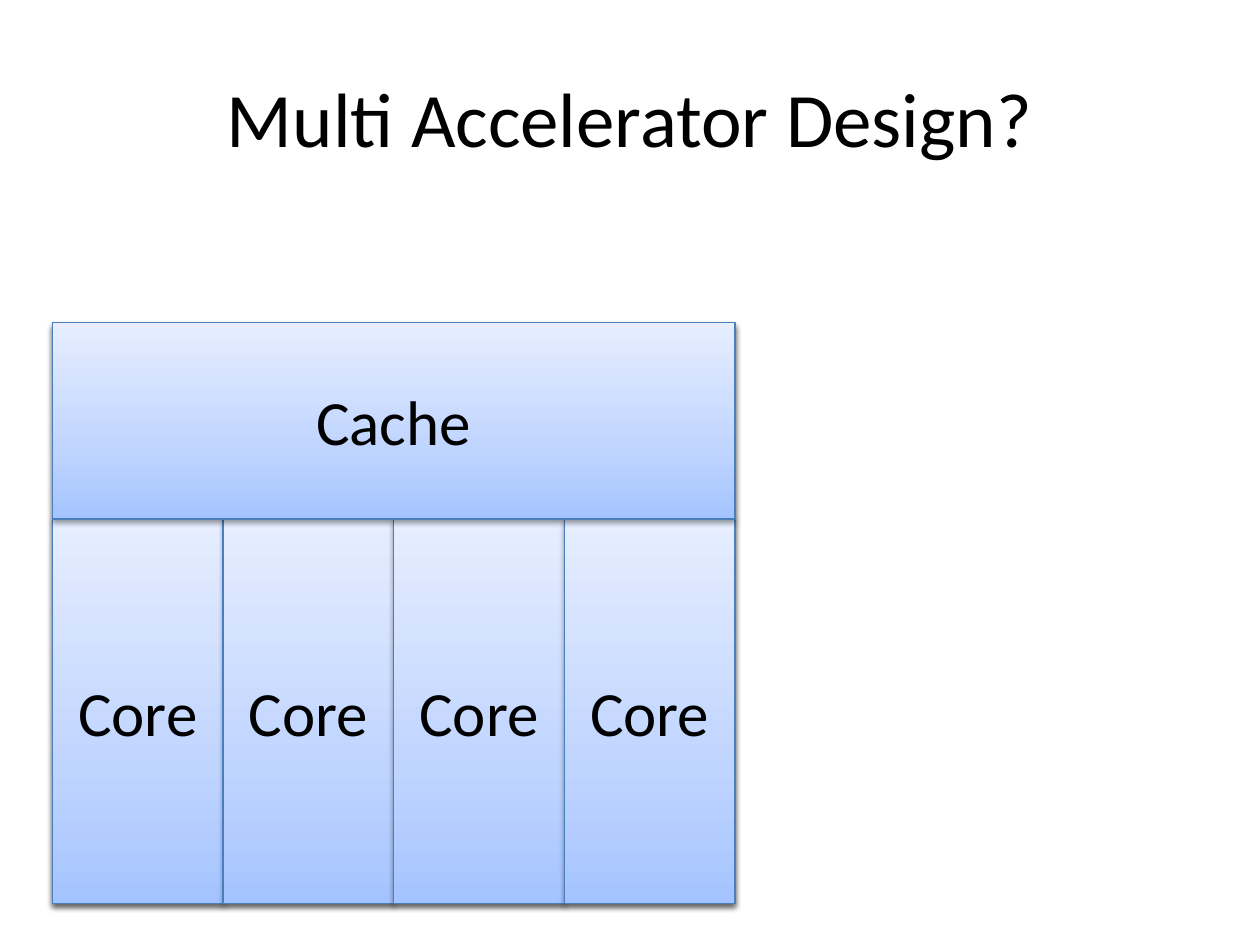
import pptx
import pptx.util
import pptx.dml.color
import pptx.enum.shapes
import pptx.enum.text
import pptx.oxml
import pptx.oxml.ns
import lxml.etree

Pt = pptx.util.Pt
qn = pptx.oxml.ns.qn
RGB = pptx.dml.color.RGBColor.from_string

COLORS = {"text": "000000", "line": "4B7EBC", "shadow": "000000",
          "low": "A4C4FF", "mid": "BFD4FF", "high": "E6EEFF"}
STOPS = [(0, "low"), (35, "mid"), (100, "high")]
FONT = "Calibri"


def add_child(parent, tag, **attrs):
    return lxml.etree.SubElement(parent, qn(tag), attrs)


def format_text(tf, size):
    tf.word_wrap = True
    tf.vertical_anchor = pptx.enum.text.MSO_ANCHOR.MIDDLE
    p = tf.paragraphs[0]
    p.alignment = pptx.enum.text.PP_ALIGN.CENTER
    for r in p.runs:
        r.font.size = Pt(size)
        r.font.name = FONT
        r.font.color.rgb = RGB(COLORS["text"])


def add_block(shapes, left, top, width, height, text=""):
    sp = shapes.add_shape(pptx.enum.shapes.MSO_SHAPE.RECTANGLE,
                          Pt(left), Pt(top), Pt(width), Pt(height))
    sp.line.color.rgb = RGB(COLORS["line"])
    sp.line.width = Pt(0.75)

    # Three-stop gradient, darkest at the bottom
    sp.fill.gradient()
    sp.fill.gradient_angle = 90
    spPr = sp._element.spPr
    stops = spPr.find(qn("a:gradFill")).find(qn("a:gsLst"))
    for gs in list(stops):
        stops.remove(gs)
    for pos, name in STOPS:
        gs = add_child(stops, "a:gs", pos=str(pos * 1000))
        add_child(gs, "a:srgbClr", val=COLORS[name])

    # Soft shadow straight below
    sp.shadow.inherit = False
    shadow = add_child(spPr.find(qn("a:effectLst")), "a:outerShdw",
                       blurRad=str(Pt(3.1)), dist=str(Pt(1.6)),
                       dir="5400000", rotWithShape="0")
    color = add_child(shadow, "a:srgbClr", val=COLORS["shadow"])
    add_child(color, "a:alpha", val="38000")

    if text:
        sp.text_frame.text = text
        format_text(sp.text_frame, 36)


def add_title(s, left, top, width, height):
    sp = s.shapes.title
    sp.left, sp.top, sp.width, sp.height = Pt(left), Pt(top), Pt(width), Pt(height)
    sp.text_frame.text = "Multi Accelerator Design?"
    format_text(sp.text_frame, 44)


def add_processor(s, left, top, width, height, cores=4):
    shapes = s.shapes.add_group_shape().shapes
    cache_height = 112.3
    core_width = width / cores

    # Chip outline behind the parts
    add_block(shapes, left, top + 1.5, width, height - 1.5)
    # Row of cores
    for i in range(cores):
        add_block(shapes, left + i * core_width, top + cache_height,
                  core_width, height - cache_height, "Core")
    # Shared cache
    add_block(shapes, left, top, width, cache_height, "Cache")


def main():
    prs = pptx.Presentation()
    prs.slide_width, prs.slide_height = Pt(720), Pt(540)
    s = prs.slides.add_slide(prs.slide_layouts[5])
    add_title(s, 36, 21.6, 648, 90)
    add_processor(s, 30, 184.3, 390, 332)
    prs.save("out.pptx")


if __name__ == "__main__":
    main()
